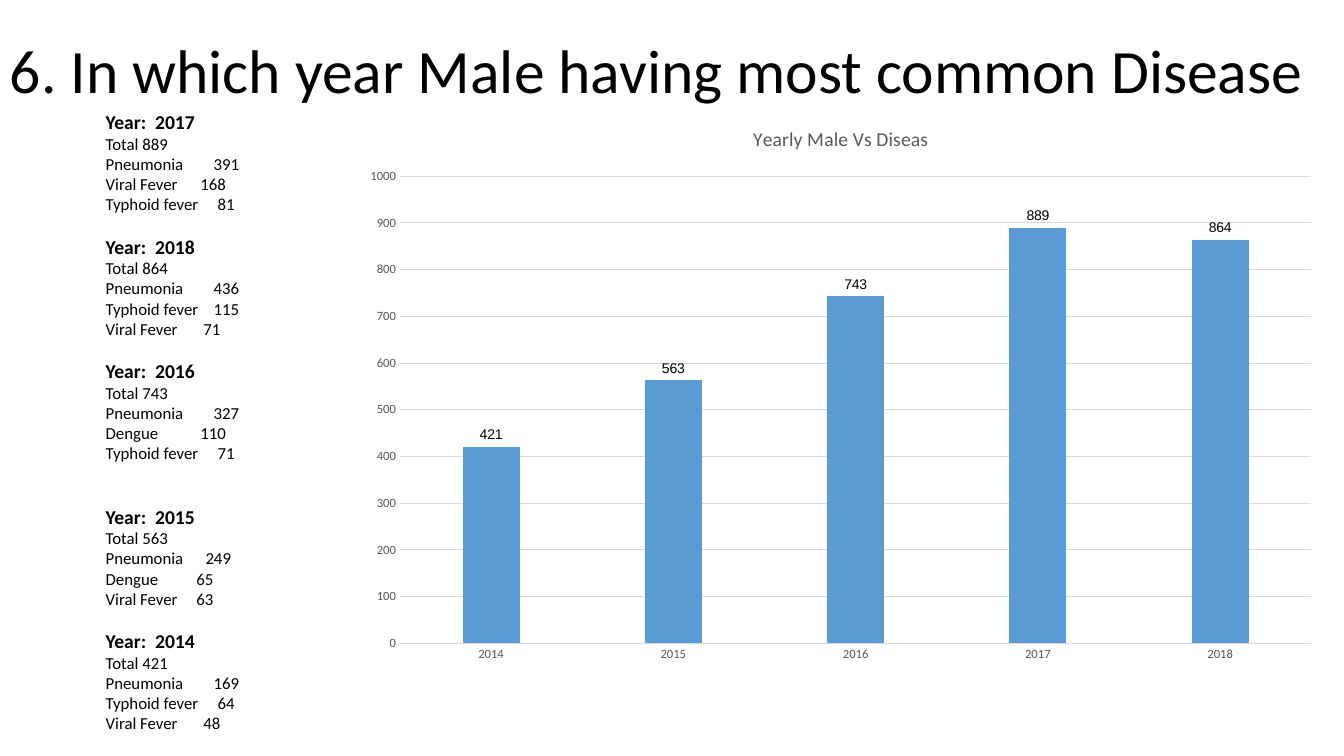
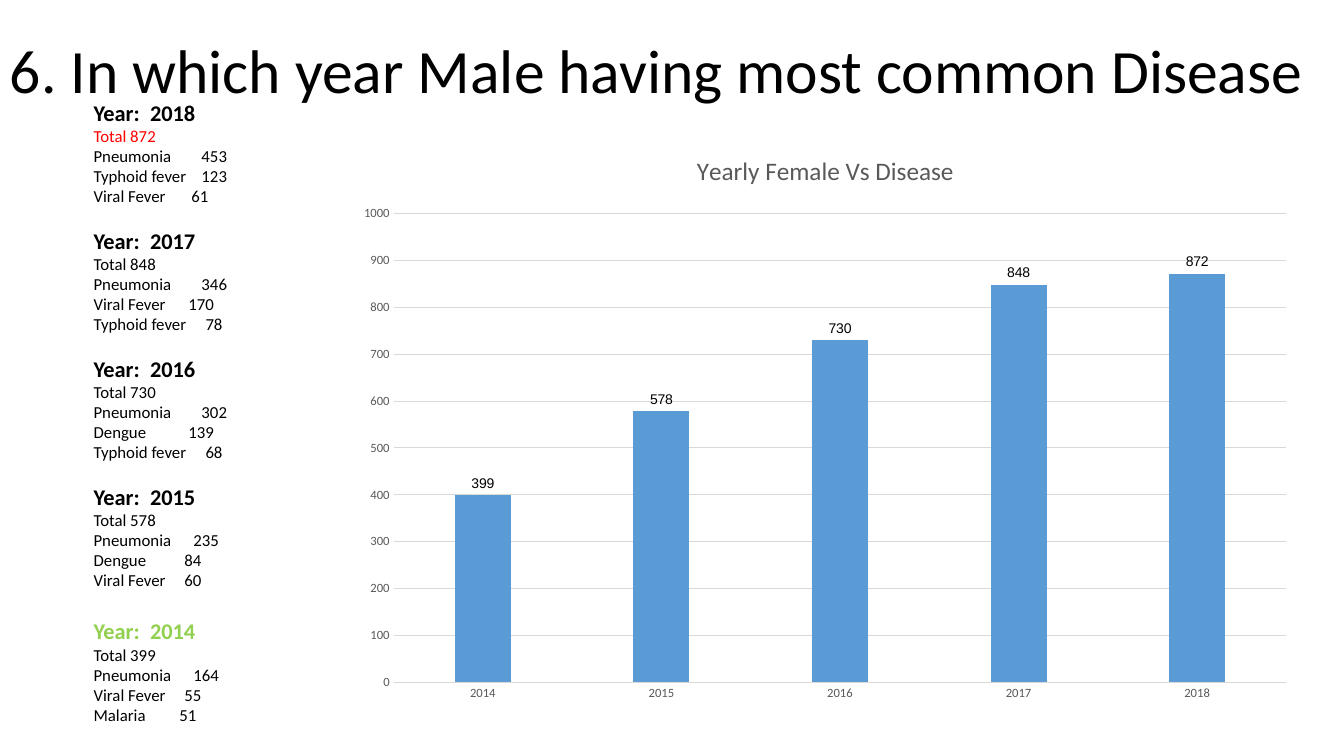
"""Yearly disease counts for male and female patients, one slide each."""
from lxml import etree
from pptx import Presentation
from pptx import util as u
from pptx.chart import data
from pptx.dml import color
from pptx.enum import chart as charts, text
from pptx.oxml import ns

COLORS = {"text": "000000", "muted": "595959", "grid": "D9D9D9",
          "bar": "5B9BD5", "high": "FF0000", "low": "92D050"}
TITLE = "6. In which year Male having most common Disease"
TITLE_BOX = (0, 0, 13.57, 1.45)
LINE_GAP = 14.65
YEARS = ["2014", "2015", "2016", "2017", "2018"]

SLIDES = [
    {
        "chart_title": "Yearly Male Vs Diseas", "title_size": 14,
        "chart_box": (3.48, 1.04, 9.72, 5.64), "list_box": (0.95, 1.04, 6.67, 6.25),
        "totals": [421, 563, 743, 889, 864], "year_size": 14, "year_tab": 0.49,
        "years": [
            {"year": "2017", "rows": [("Pneumonia", 391, 1.07), ("Viral Fever", 168, 0.94),
                                      ("Typhoid fever", 81, 1.11)]},
            {"year": "2018", "rows": [("Pneumonia", 436, 1.07), ("Typhoid fever", 115, 1.07),
                                      ("Viral Fever", 71, 0.97)]},
            {"year": "2016", "rows": [("Pneumonia", 327, 1.07), ("Dengue", 110, 0.94),
                                      ("Typhoid fever", 71, 1.11)]},
            {"year": "2015", "gap": 2 * LINE_GAP,
             "rows": [("Pneumonia", 249, 0.99), ("Dengue", 65, 0.9), ("Viral Fever", 63, 0.9)]},
            {"year": "2014", "rows": [("Pneumonia", 169, 1.07), ("Typhoid fever", 64, 1.11),
                                      ("Viral Fever", 48, 0.97)]},
        ],
    },
    {
        "chart_title": "Yearly Female Vs Disease", "title_size": 18,
        "chart_box": (3.42, 1.31, 9.53, 5.76), "list_box": (0.83, 0.93, 7.79, 6.29),
        "totals": [399, 578, 730, 848, 872], "year_size": 16, "year_tab": 0.56,
        "years": [
            {"year": "2018", "total_color": "high",
             "rows": [("Pneumonia", 453, 1.07), ("Typhoid fever", 123, 1.07),
                      ("Viral Fever", 61, 0.97)]},
            {"year": "2017", "rows": [("Pneumonia", 346, 1.07), ("Viral Fever", 170, 0.94),
                                      ("Typhoid fever", 78, 1.11)]},
            {"year": "2016", "rows": [("Pneumonia", 302, 1.07), ("Dengue", 139, 0.94),
                                      ("Typhoid fever", 68, 1.11)]},
            {"year": "2015", "rows": [("Pneumonia", 235, 0.99), ("Dengue", 84, 0.9),
                                      ("Viral Fever", 60, 0.9)]},
            {"year": "2014", "gap": 19.5, "year_color": "low",
             "rows": [("Pneumonia", 164, 0.99), ("Viral Fever", 55, 0.9), ("Malaria", 51, 0.85)]},
        ],
    },
]


def rgb(name):
    """Return the palette colour with this name."""
    return color.RGBColor.from_string(COLORS[name])


def inches(box):
    """Convert a box of numbers to lengths."""
    return [u.Inches(length) for length in box]


def set_all(target, **values):
    """Set each given attribute on the target."""
    for name, value in values.items():
        setattr(target, name, value)


def style_font(font, size, tone="text", bold=False, name="Calibri"):
    """Apply face, size, weight and colour to a font."""
    set_all(font, name=name, size=u.Pt(size), bold=bold)
    font.color.rgb = rgb(tone)


def style_line(line, tone="grid"):
    """Draw a thin line in a palette colour."""
    line.color.rgb = rgb(tone)
    line.width = u.Pt(0.75)


def add_text_frame(slide, box, anchor):
    """Add a wrapping text box and return its frame."""
    frame = slide.shapes.add_textbox(*inches(box)).text_frame
    set_all(frame, word_wrap=True, vertical_anchor=anchor)
    return frame


def add_title(slide, box):
    """Place the shared title in its box."""
    paragraph = add_text_frame(slide, box, text.MSO_ANCHOR.MIDDLE).paragraphs[0]
    paragraph.line_spacing = 0.9
    run = paragraph.add_run()
    run.text = TITLE
    style_font(run.font, 44)


def add_tab(paragraph, position):
    """Give a paragraph one left tab stop."""
    tabs = etree.SubElement(paragraph._p.get_or_add_pPr(), ns.qn("a:tabLst"))
    etree.SubElement(tabs, ns.qn("a:tab"), pos=str(u.Inches(position)), algn="l")


def add_year_list(slide, box, content):
    """List each year with its total and most common diseases."""
    frame = add_text_frame(slide, box, text.MSO_ANCHOR.TOP)
    paragraph = frame.paragraphs[0]
    totals = dict(zip(YEARS, content["totals"]))
    for index, entry in enumerate(content["years"]):
        year = entry["year"]
        heading = {"size": content["year_size"], "bold": True,
                   "tone": entry.get("year_color", "text")}
        total = {"size": 12, "tone": entry.get("total_color", "text")}
        lines = [(f"Year:\t{year}", content["year_tab"], heading),
                 (f"Total {totals[year]}", None, total)]
        lines += [(f"{disease}\t{count}", tab, {"size": 12})
                  for disease, count, tab in entry["rows"]]
        for position, (words, tab, style) in enumerate(lines):
            if index or position:
                paragraph = frame.add_paragraph()
            if tab:
                add_tab(paragraph, tab)
            if index and not position:
                paragraph.space_before = u.Pt(entry.get("gap", LINE_GAP))
            run = paragraph.add_run()
            run.text = words
            style_font(run.font, **style)


def add_totals_chart(slide, box, content):
    """Place the column chart of yearly totals."""
    chart_data = data.CategoryChartData()
    chart_data.categories = YEARS
    chart_data.add_series("Series 1", content["totals"])
    chart = slide.shapes.add_chart(
        charts.XL_CHART_TYPE.COLUMN_CLUSTERED, *inches(box), chart_data).chart
    style_font(chart.font, 10, name="Arial")
    set_all(chart, has_legend=False, has_title=True)
    chart.chart_title.include_in_layout = False
    run = chart.chart_title.text_frame.paragraphs[0].add_run()
    run.text = content["chart_title"]
    style_font(run.font, content["title_size"], "muted")

    for axis in (chart.category_axis, chart.value_axis):
        set_all(axis, major_tick_mark=charts.XL_TICK_MARK.NONE,
                minor_tick_mark=charts.XL_TICK_MARK.NONE)
        style_font(axis.tick_labels.font, 9, "muted")
    style_line(chart.category_axis.format.line)
    set_all(chart.value_axis, minimum_scale=0, maximum_scale=1000, major_unit=100)
    chart.value_axis.format.line.fill.background()
    style_line(chart.value_axis.major_gridlines.format.line)

    plot = chart.plots[0]
    set_all(plot, gap_width=219, overlap=-27, vary_by_categories=False, has_data_labels=True)
    set_all(plot.data_labels, show_value=True,
            position=charts.XL_LABEL_POSITION.OUTSIDE_END)
    style_font(plot.data_labels.font, 10, name="Arial")
    fill = plot.series[0].format.fill
    fill.solid()
    fill.fore_color.rgb = rgb("bar")


def add_disease_slide(presentation, content):
    """Build one slide with title, chart and yearly list."""
    slide = presentation.slides.add_slide(presentation.slide_layouts[6])
    add_title(slide, TITLE_BOX)
    add_totals_chart(slide, content["chart_box"], content)
    add_year_list(slide, content["list_box"], content)


def main():
    """Build and save the presentation."""
    presentation = Presentation()
    set_all(presentation, slide_width=u.Inches(13.33), slide_height=u.Inches(7.5))
    for content in SLIDES:
        add_disease_slide(presentation, content)
    presentation.save("out.pptx")


if __name__ == "__main__":
    main()
